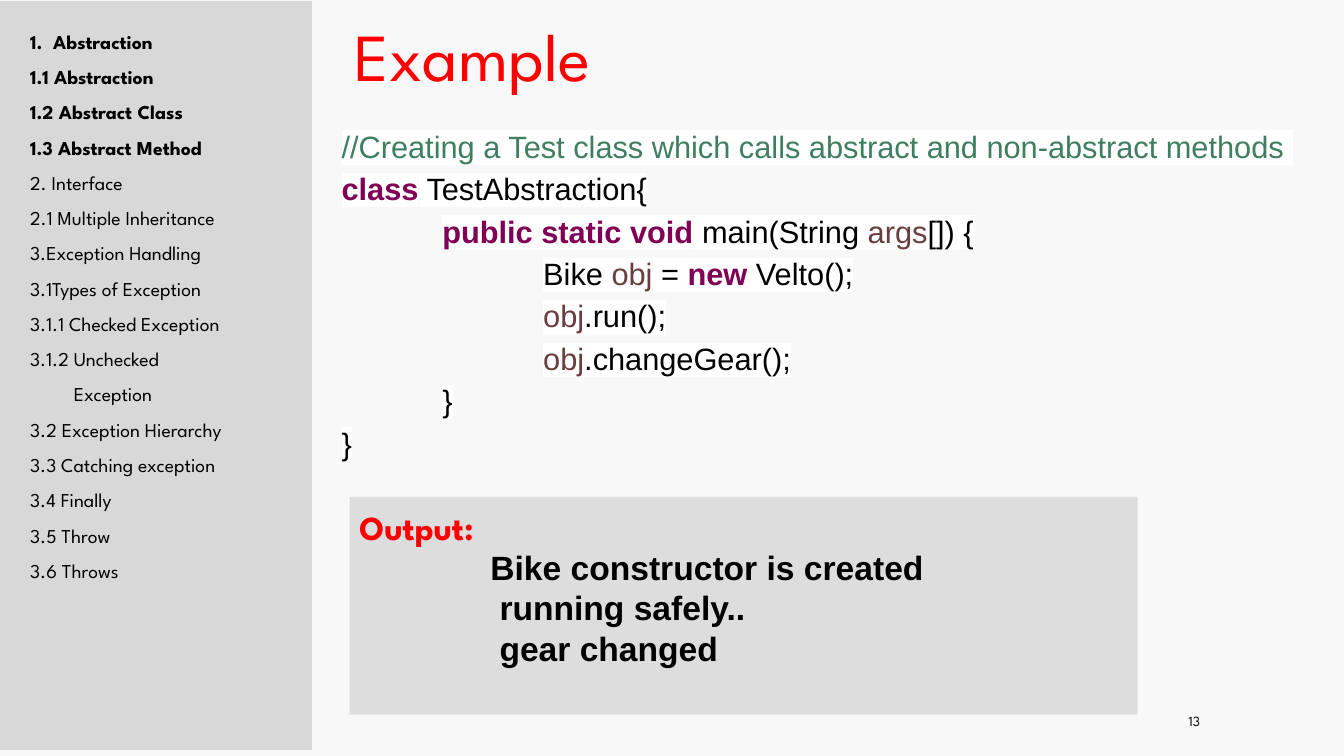
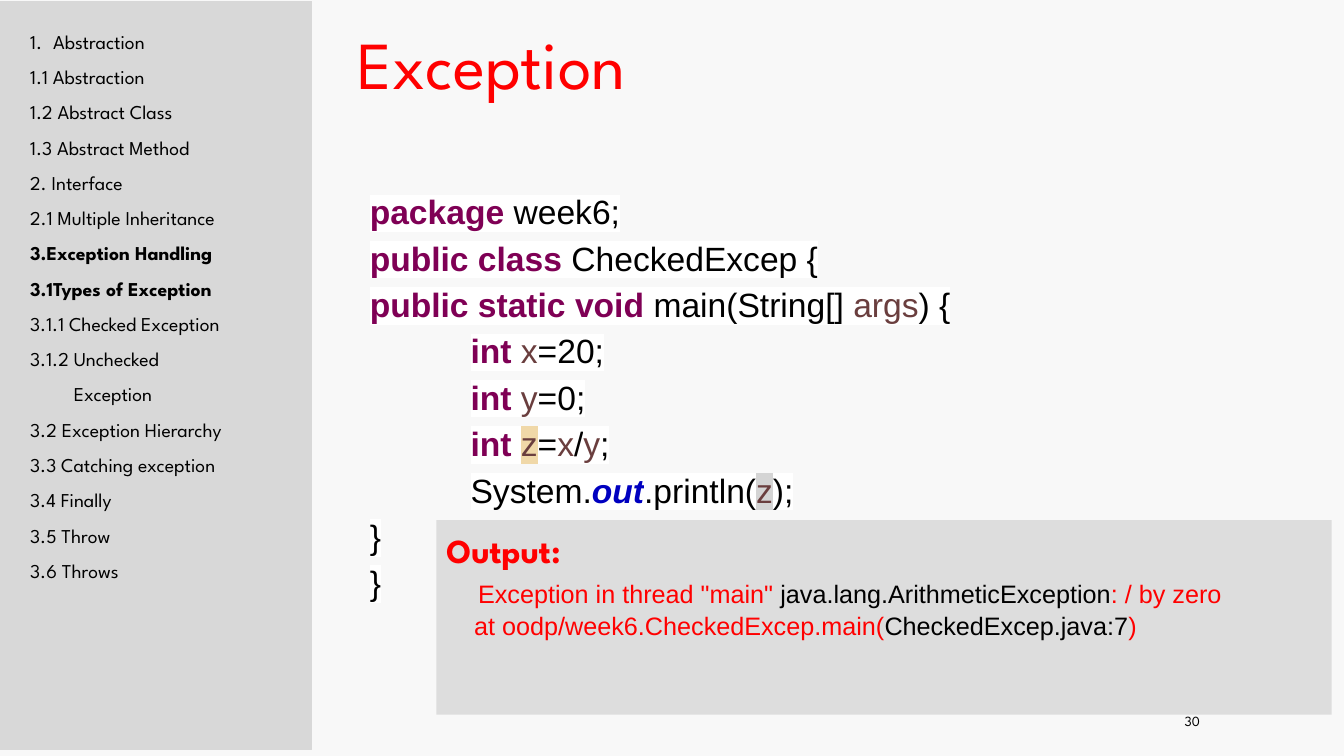
from dataclasses import dataclass
from lxml.etree import SubElement, Element
from pptx import Presentation
from pptx.dml.color import RGBColor
from pptx.enum.shapes import MSO_SHAPE
from pptx.enum.text import MSO_ANCHOR, PP_ALIGN
from pptx.oxml.ns import qn
from pptx.util import Cm, Pt

HEADING_FONT = "League Spartan"
CODE_FONT = "Arial"
BLACK = "000000"
RED = "FF0000"
WHITE = "FFFFFF"
PAGE_COLOR = "F8F8F8"
SIDEBAR_COLOR = "D8D8D8"
OUTPUT_COLOR = "DDDDDD"
KEYWORD_COLOR = "7F0055"
VARIABLE_COLOR = "6A3E3E"
COMMENT_COLOR = "3F7F5F"
FIELD_COLOR = "0000C0"
TAB_WIDTH = 2.54
CODE_MARGIN = 0.08


@dataclass(frozen=True)
class Area:
    left: float
    top: float
    width: float
    height: float


@dataclass(frozen=True)
class Span:
    text: str
    color: str = BLACK
    bold: bool = False
    italic: bool = False
    highlight: str = ""


@dataclass(frozen=True)
class Line:
    spans: tuple[Span, ...]
    size: float
    font: str = CODE_FONT
    indent: float = 0
    hanging: float = 0
    spacing: float = 1.0
    before: float = 0
    after: float = 0
    align: PP_ALIGN = PP_ALIGN.LEFT


@dataclass(frozen=True)
class Topic:
    text: str
    indent: float = 0
    hanging: float = 0


@dataclass(frozen=True)
class CodePage:
    title: str
    title_area: Area
    number: int
    current_topics: range
    code: tuple[Line, ...]
    code_area: Area
    output: tuple[Line, ...]
    output_area: Area


TOPICS = (
    Topic("1.\tAbstraction", 0.58, 0.58),
    Topic("1.1 Abstraction"),
    Topic("1.2 Abstract Class"),
    Topic("1.3 Abstract Method"),
    Topic("2. Interface"),
    Topic("2.1 Multiple Inheritance"),
    Topic("3.Exception Handling"),
    Topic("3.1Types of Exception"),
    Topic("3.1.1 Checked Exception"),
    Topic("3.1.2 Unchecked"),
    Topic("Exception", 1.1),
    Topic("3.2 Exception Hierarchy"),
    Topic("3.3 Catching exception"),
    Topic("3.4 Finally"),
    Topic("3.5 Throw"),
    Topic("3.6 Throws"),
)


def plain(text: str) -> Span:
    return Span(text, highlight=WHITE)


def keyword(text: str) -> Span:
    return Span(text, KEYWORD_COLOR, bold=True, highlight=WHITE)


def variable(text: str, highlight: str = WHITE) -> Span:
    return Span(text, VARIABLE_COLOR, highlight=highlight)


def code_line(size: float, level: int, *spans: Span) -> Line:
    return Line(spans, size, indent=CODE_MARGIN + level * TAB_WIDTH, spacing=1.15)


def result_line(text: str, indent: float) -> Line:
    return Line((Span(text, bold=True),), 24, indent=indent)


OUTPUT_HEADING = Line((Span("Output:", RED, bold=True),), 24, HEADING_FONT)

PAGES = (
    CodePage(
        title="Example",
        title_area=Area(8.69, 0.2, 24.71, 2.34),
        number=13,
        current_topics=range(0, 4),
        code=(
            code_line(22, 0, Span("//Creating a Test class which calls abstract and non-abstract methods ",
                                  COMMENT_COLOR, highlight=WHITE)),
            code_line(22, 0, keyword("class"), plain(" TestAbstraction{")),
            code_line(22, 1, keyword("public static void"), plain(" main(String "),
                      variable("args"), plain("[]) {")),
            code_line(22, 2, plain("Bike "), variable("obj"), plain(" = "),
                      keyword("new"), plain(" Velto();")),
            code_line(22, 2, variable("obj"), plain(".run();")),
            code_line(22, 2, variable("obj"), plain(".changeGear();")),
            code_line(22, 1, plain("}")),
            code_line(22, 0, plain("}")),
        ),
        code_area=Area(8.28, 2.82, 25.12, 15.6),
        output=(
            OUTPUT_HEADING,
            result_line("Bike constructor is created", 3.3),
            result_line("running safely..", 3.53),
            result_line("gear changed", 3.53),
        ),
        output_area=Area(8.81, 12.52, 19.86, 5.49),
    ),
    CodePage(
        title="Exception",
        title_area=Area(8.76, 0.2, 24.71, 2.54),
        number=30,
        current_topics=range(6, 8),
        code=(
            code_line(24, 0, keyword("package"), plain(" week6;")),
            code_line(24, 0, keyword("public class"), plain(" CheckedExcep {")),
            code_line(24, 0, keyword("public static void"), plain(" main(String[] "),
                      variable("args"), plain(") {")),
            code_line(24, 1, keyword("int"), plain(" "), variable("x"), plain("=20;")),
            code_line(24, 1, keyword("int"), plain(" "), variable("y"), plain("=0;")),
            code_line(24, 1, keyword("int"), plain(" "), variable("z", "F0D8A8"), plain("="),
                      variable("x"), plain("/"), variable("y"), plain(";")),
            code_line(24, 1, plain("System."), Span("out", FIELD_COLOR, True, True, WHITE),
                      plain(".println("), variable("z", "D4D4D4"), plain(");")),
            code_line(24, 0, plain("}")),
            code_line(24, 0, plain("}")),
        ),
        code_area=Area(8.99, 4.42, 24.05, 14),
        output=(
            OUTPUT_HEADING,
            Line((Span('Exception in thread "main"', RED), Span(" java.lang.ArithmeticException"),
                  Span(": / by zero", RED)), 18, indent=0.8, before=5.4, after=1.3),
            Line((Span("at oodp/week6.CheckedExcep.main(", RED), Span("CheckedExcep.java:7"),
                  Span(")", RED)), 18, indent=0.7),
        ),
        output_area=Area(11, 13.11, 22.56, 4.9),
    ),
)


def paint(target, color: str) -> None:
    target.rgb = RGBColor.from_string(color)


def fill_with(fill, color: str) -> None:
    fill.solid()
    paint(fill.fore_color, color)


def highlight_run(run, color: str) -> None:
    marker = Element(qn("a:highlight"))
    SubElement(marker, qn("a:srgbClr")).set("val", color)
    run.font.fill._xPr.find(qn("a:solidFill")).addnext(marker)


def write_line(para, line: Line) -> None:
    para.alignment = line.align
    para.line_spacing = line.spacing
    para.space_before = Pt(line.before)
    para.space_after = Pt(line.after)
    para.font.name = line.font
    para.font.size = Pt(line.size)
    properties = para._p.get_or_add_pPr()
    properties.set("marL", str(Cm(line.indent)))
    properties.set("indent", str(-Cm(line.hanging)))
    for span in line.spans:
        run = para.add_run()
        run.text = span.text
        run.font.bold = span.bold
        run.font.italic = span.italic
        paint_font = run.font.color
        paint(paint_font, span.color)
        if span.highlight:
            highlight_run(run, span.highlight)


def write_lines(box, lines: tuple[Line, ...], anchor: MSO_ANCHOR = MSO_ANCHOR.TOP,
                inset: float = 0.25) -> None:
    frame = box.text_frame
    frame.word_wrap = True
    frame.vertical_anchor = anchor
    frame.margin_left = frame.margin_right = Cm(0.25)
    frame.margin_top = frame.margin_bottom = Cm(inset)
    for index, line in enumerate(lines):
        write_line(frame.add_paragraph() if index else frame.paragraphs[0], line)


def place(area: Area) -> tuple[Cm, Cm, Cm, Cm]:
    return Cm(area.left), Cm(area.top), Cm(area.width), Cm(area.height)


def add_text(page, area: Area, lines: tuple[Line, ...],
             anchor: MSO_ANCHOR = MSO_ANCHOR.TOP, inset: float = 0.25) -> None:
    write_lines(page.shapes.add_textbox(*place(area)), lines, anchor, inset)


def add_panel(page, area: Area, color: str):
    panel = page.shapes.add_shape(MSO_SHAPE.RECTANGLE, *place(area))
    panel.shadow.inherit = False
    fill_with(panel.fill, color)
    panel.line.fill.background()
    return panel


def add_sidebar(page, current_topics: range) -> None:
    panel = add_panel(page, Area(0, 0.03, 7.85, 18.85), SIDEBAR_COLOR)
    fill_with(panel.line.fill, SIDEBAR_COLOR)
    panel.line.width = Pt(0.75)
    lines = tuple(
        Line((Span(topic.text, bold=index in current_topics),), 14, HEADING_FONT,
             topic.indent, topic.hanging, 1.5)
        for index, topic in enumerate(TOPICS)
    )
    add_text(page, Area(0.51, 0.2, 6.88, 18.44), lines)


def add_code_page(deck, content: CodePage) -> None:
    page = deck.slides.add_slide(deck.slide_layouts[6])
    fill_with(page.background.fill, PAGE_COLOR)
    title = Line((Span(content.title, RED),), 48, HEADING_FONT, spacing=0.9)
    add_text(page, content.title_area, (title,), MSO_ANCHOR.BOTTOM, 0.13)
    add_sidebar(page, content.current_topics)
    number = Line((Span(str(content.number)),), 10, HEADING_FONT, align=PP_ALIGN.RIGHT)
    add_text(page, Area(27.31, 17.91, 3.18, 0.51), (number,), MSO_ANCHOR.MIDDLE, 0.13)
    add_text(page, content.code_area, content.code)
    write_lines(add_panel(page, content.output_area, OUTPUT_COLOR), content.output)


def main() -> None:
    deck = Presentation()
    deck.slide_width = Cm(33.87)
    deck.slide_height = Cm(19.05)
    for content in PAGES:
        add_code_page(deck, content)
    deck.save("out.pptx")


if __name__ == "__main__":
    main()
